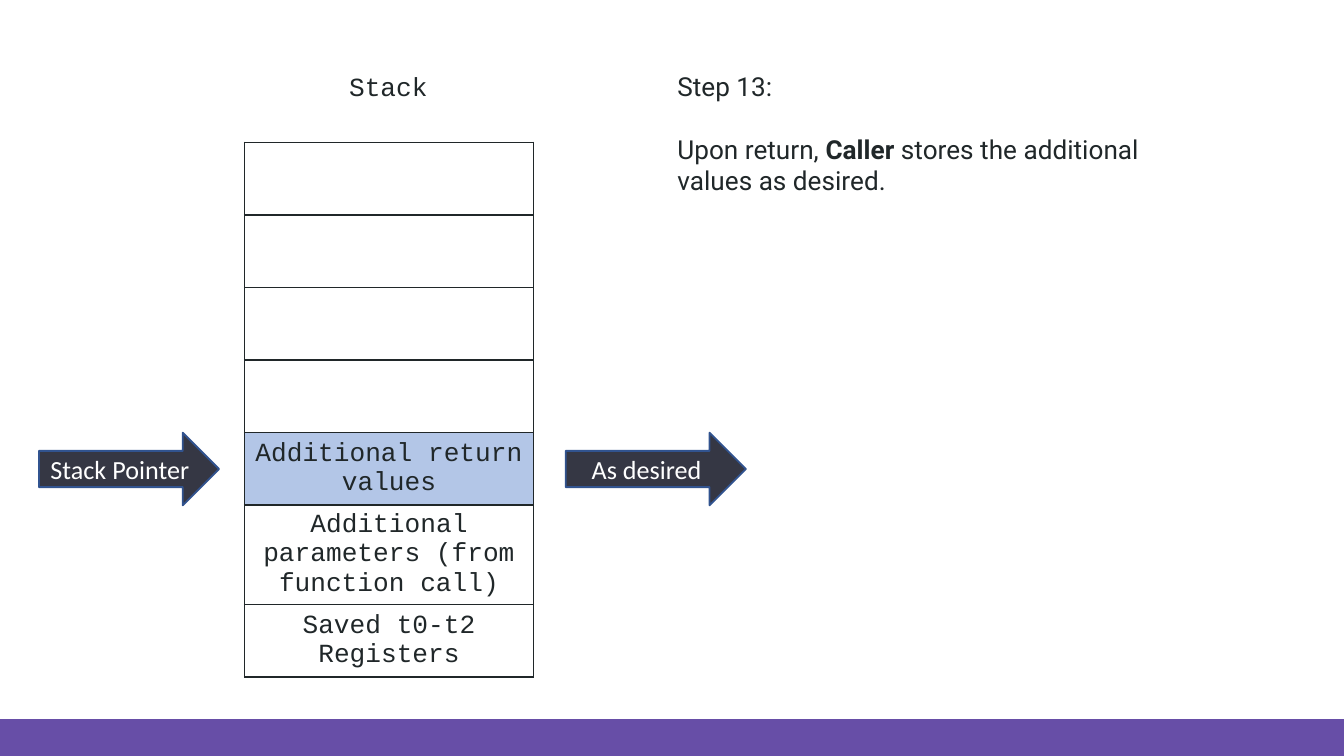
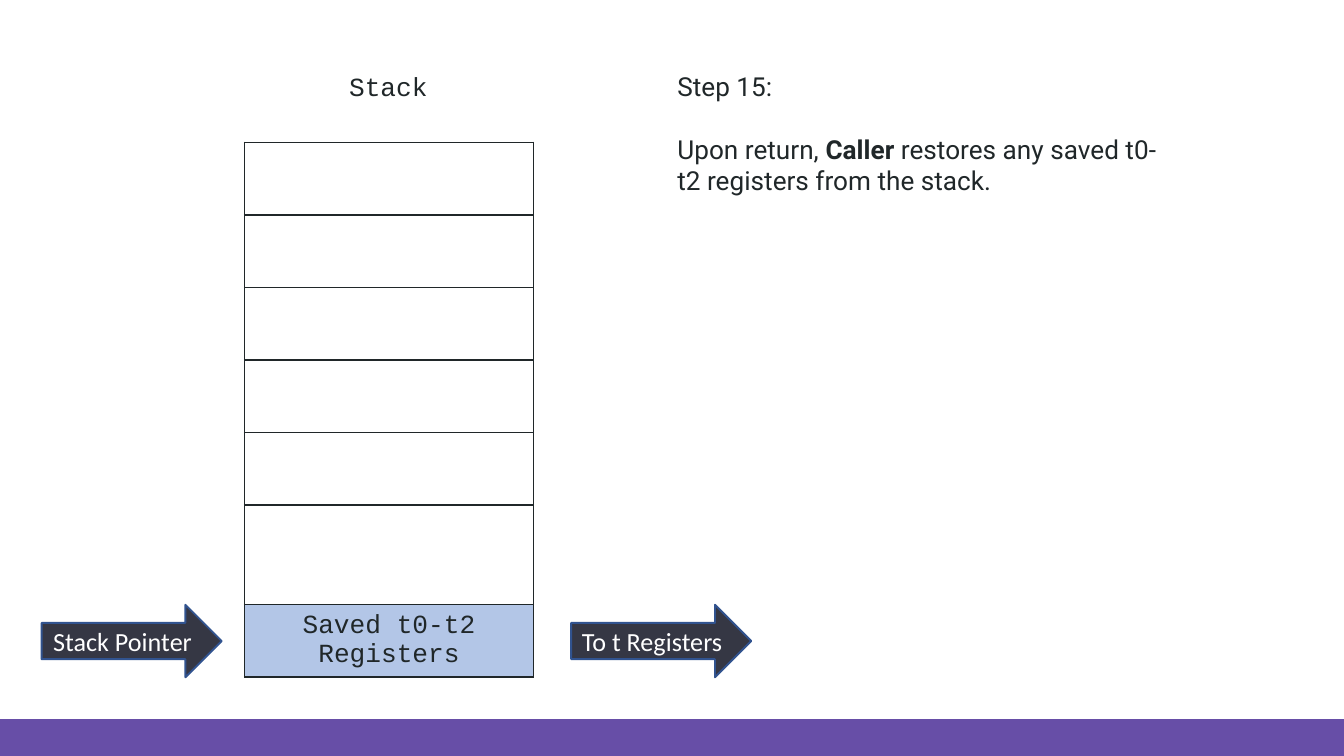
from dataclasses import dataclass

from lxml.etree import SubElement
from pptx import Presentation
from pptx.dml.color import RGBColor
from pptx.enum.shapes import MSO_SHAPE
from pptx.enum.text import MSO_ANCHOR, MSO_AUTO_SIZE, PP_ALIGN
from pptx.oxml.ns import qn
from pptx.util import Inches, Pt

COLORS = {
    "band": "674EA7",
    "ink": "202729",
    "highlight": "B3C6E7",
    "arrow": "353744",
    "arrow_line": "31538F",
    "white": "FFFFFF",
}
CODE_FONT, BODY_FONT, ARROW_FONT = "Courier New", "Roboto", "Calibri"

# The slide is a grid of 100 columns by 56.25 rows
COLUMNS, ROWS = 100, 56.25
UNIT = Inches(0.1)
STACK_ROWS = [5.4] * 5 + [7.4, 5.4]


@dataclass
class Box:
    left: float
    top: float
    width: float
    height: float

    def lengths(self):
        sides = (self.left, self.top, self.width, self.height)
        return [round(side * UNIT) for side in sides]

    def inner(self, left, top, width, height):
        return Box(self.left + left, self.top + top, width, height)


SLIDE = Box(0, 0, COLUMNS, ROWS)
BAND = SLIDE.inner(0, 53.5, COLUMNS, 2.75)
STACK = SLIDE.inner(18.2, 4.8, 21.5, 45.6)
EXPLANATION = SLIDE.inner(49.7, 4.8, 38, 10.2)


def rgb(name):
    return RGBColor.from_string(COLORS[name])


def write(frame, *runs, font=BODY_FONT, color="ink", size=14,
          align=PP_ALIGN.LEFT, anchor=MSO_ANCHOR.TOP):
    """Fill a text frame with one paragraph of (text, bold) runs."""
    frame.word_wrap = True
    frame.auto_size = MSO_AUTO_SIZE.NONE
    frame.vertical_anchor = anchor
    frame.margin_left = frame.margin_right = Inches(0.07)
    frame.margin_top = frame.margin_bottom = Inches(0.04)
    paragraph = frame.paragraphs[0]
    paragraph.alignment = align
    paragraph.space_before = Pt(0)
    for text, bold in runs:
        run = paragraph.add_run()
        run.text = text
        run.font.name = font
        run.font.size = Pt(size)
        run.font.bold = bold
        run.font.color.rgb = rgb(color)
    return paragraph


def place(shape, box):
    shape.left, shape.top, shape.width, shape.height = box.lengths()


def add_filled_shape(slide, kind, box, fill, line=None):
    shape = slide.shapes.add_shape(kind, *box.lengths())
    shape.shadow.inherit = False
    shape.fill.solid()
    shape.fill.fore_color.rgb = rgb(fill)
    if line:
        shape.line.color.rgb = rgb(line)
        shape.line.width = Pt(1)
    else:
        shape.line.fill.background()
    return shape


def add_master_band(presentation, slide):
    """Draw the footer band and move it to the master, for every slide."""
    band = add_filled_shape(slide, MSO_SHAPE.RECTANGLE, BAND, "band")
    presentation.slide_master.shapes.element.append(band.element)


def add_cell_borders(cell):
    properties = cell._tc.get_or_add_tcPr()
    for position, side in enumerate(("a:lnL", "a:lnR", "a:lnT", "a:lnB")):
        line = properties.makeelement(qn(side), {"w": str(Pt(1))})
        fill = SubElement(line, qn("a:solidFill"))
        SubElement(fill, qn("a:srgbClr"), val=COLORS["ink"])
        properties.insert(position, line)


def add_stack(slide, box, entries, pointer_row):
    """Label and table; entries occupy the bottom of the stack."""
    label = slide.shapes.add_textbox(*box.inner(2, 0, 17.4, 3.1).lengths())
    write(label.text_frame, ("Stack", False), font=CODE_FONT,
          align=PP_ALIGN.CENTER)

    table_box = box.inner(0, 5.8, box.width, sum(STACK_ROWS))
    table = slide.shapes.add_table(
        len(STACK_ROWS), 1, *table_box.lengths()).table
    table.first_row = table.horz_banding = False
    texts = [""] * (len(STACK_ROWS) - len(entries)) + entries
    for index, (height, text) in enumerate(zip(STACK_ROWS, texts)):
        table.rows[index].height = round(height * UNIT)
        cell = table.cell(index, 0)
        cell.vertical_anchor = MSO_ANCHOR.MIDDLE
        cell.margin_left = cell.margin_right = Inches(0.08)
        cell.margin_top = cell.margin_bottom = Inches(0.04)
        if index == pointer_row:
            cell.fill.solid()
            cell.fill.fore_color.rgb = rgb("highlight")
        else:
            cell.fill.background()
        add_cell_borders(cell)
        paragraph = cell.text_frame.paragraphs[0]
        paragraph.alignment = PP_ALIGN.CENTER
        paragraph.font.size = Pt(14)
        if text:
            run = paragraph.add_run()
            run.text = text
            run.font.name = CODE_FONT
            run.font.size = Pt(14)
            run.font.color.rgb = rgb("ink")


def add_arrows(slide, box, pointer_row, target, lefts):
    """Arrows into and out of the row at the stack pointer."""
    top = 5.8 + sum(STACK_ROWS[:pointer_row])
    for text, left in zip(("Stack Pointer", target), lefts):
        arrow = add_filled_shape(
            slide, MSO_SHAPE.RIGHT_ARROW,
            box.inner(left, top, 13.4, 5.4), "arrow", "arrow_line")
        write(arrow.text_frame, (text, False), font=ARROW_FONT, color="white",
              align=PP_ALIGN.CENTER, anchor=MSO_ANCHOR.MIDDLE)


def add_explanation(slide, box, title, action):
    """Step number in the title, what happens in the body."""
    place(slide.shapes.title, box.inner(0, 0, box.width, 3.1))
    write(slide.shapes.title.text_frame, (title, False))

    body = slide.placeholders[1]
    place(body, box.inner(0, 4.7, box.width, box.height - 4.7))
    paragraph = write(body.text_frame, ("Upon return, ", False),
                      ("Caller ", True), (action, False))
    properties = paragraph._p.get_or_add_pPr()
    properties.set("marL", "0")
    properties.set("indent", "0")
    SubElement(properties, qn("a:buNone"))


def add_step(presentation, title, action, entries, target, arrow_lefts):
    slide = presentation.slides.add_slide(presentation.slide_layouts[1])
    pointer_row = len(STACK_ROWS) - len(entries)
    add_stack(slide, STACK, entries, pointer_row)
    add_explanation(slide, EXPLANATION, title, action)
    add_arrows(slide, STACK, pointer_row, target, arrow_lefts)
    return slide


def main():
    presentation = Presentation()
    presentation.slide_width = round(COLUMNS * UNIT)
    presentation.slide_height = round(ROWS * UNIT)

    saved = "Saved t0-t2 Registers"
    first_slide = add_step(
        presentation, "Step 13:", "stores the additional values as desired.",
        ["Additional return values",
         "Additional parameters (from function call)", saved],
        "As desired", (-15.3, 23.9))
    add_step(
        presentation, "Step 15:",
        "restores any saved t0-t2 registers from the stack.",
        [saved], "To t Registers", (-15.1, 24.3))
    add_master_band(presentation, first_slide)

    presentation.save("out.pptx")


if __name__ == "__main__":
    main()
